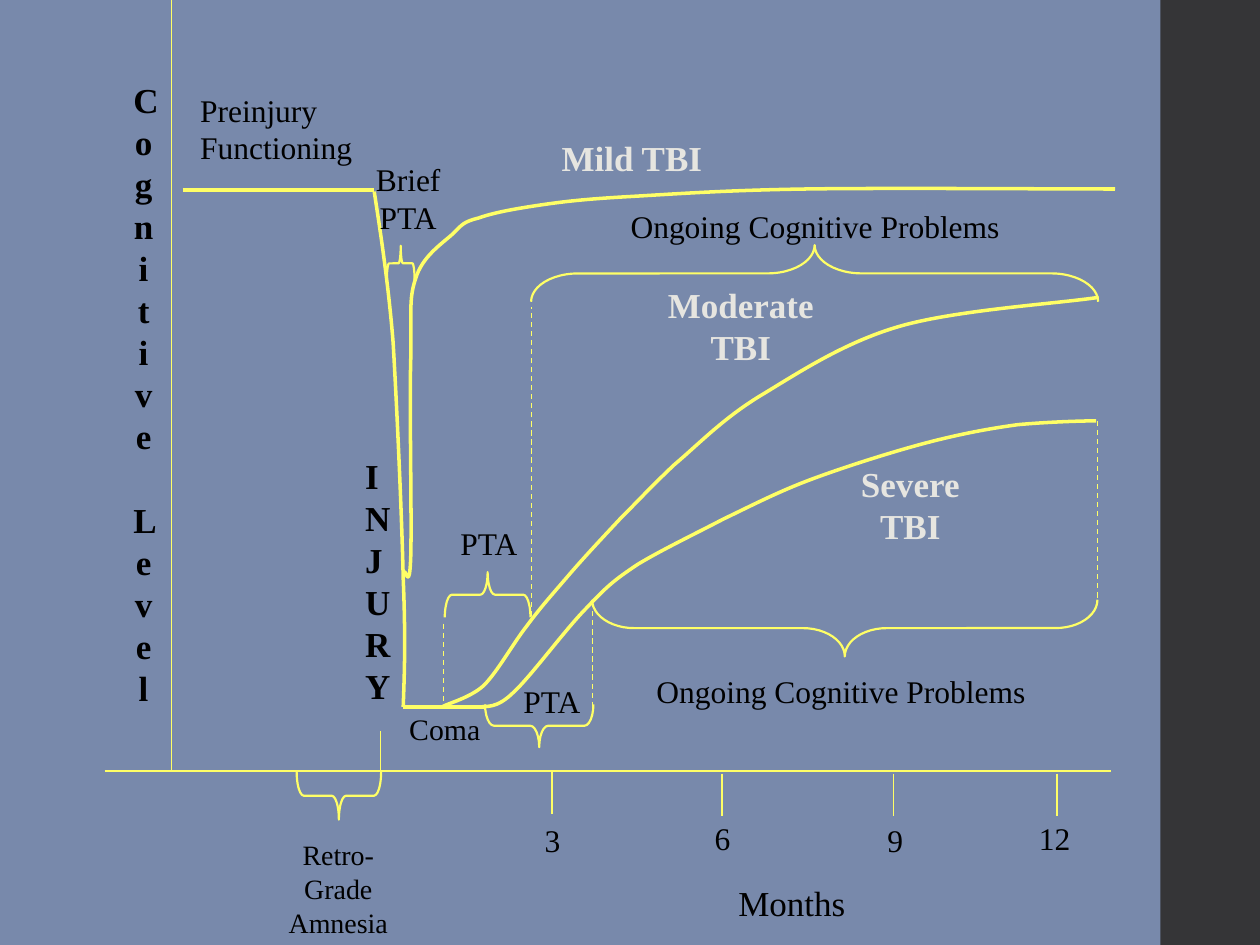
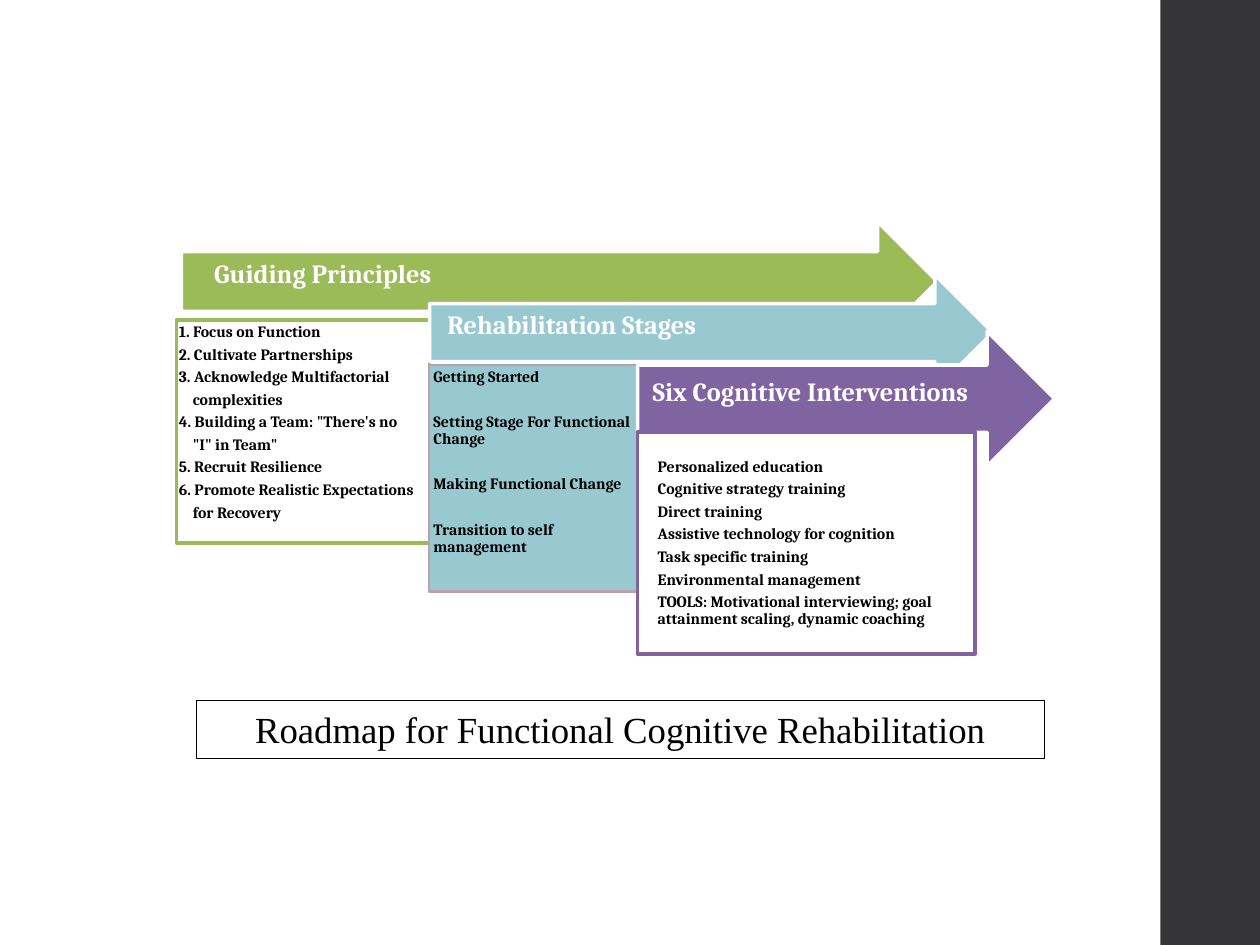
import pptx
import pptx.dml.color
import pptx.enum.dml
import pptx.enum.shapes
import pptx.enum.text
import pptx.oxml.ns
import pptx.util
from lxml import etree

Inches = pptx.util.Inches
Pt = pptx.util.Pt
qn = pptx.oxml.ns.qn
Shapes = pptx.enum.shapes.MSO_SHAPE
Align = pptx.enum.text.PP_ALIGN
Anchor = pptx.enum.text.MSO_ANCHOR

SERIF = "Times New Roman"
HEADING = "Cambria"
BLACK, WHITE = "000000", "FFFFFF"
BAND = "353537"
DUSK = "7889AB"
YELLOW = "FFFF66"
PALE = "E6E5E0"
GREEN, TEAL, PURPLE = "9BBB59", "98C9D1", "8064A2"
MAUVE, DEEP_TEAL = "BCA0AB", "5EAFA6"

NO_MARGINS = (0, 0, 0, 0)
TIGHT_MARGINS = (0.03, 0.03, 0.03, 0.03)
DEFAULT_MARGINS = (0.1, 0.05, 0.1, 0.05)

# Each curve is a start point followed by cubic segments (two controls and an end).
RECOVERY_CURVES = {
    "moderate": [
        (3.51, 5.61),
        (3.56, 5.58, 3.73, 5.54, 3.84, 5.44),
        (3.95, 5.33, 4.07, 5.11, 4.18, 4.97),
        (4.29, 4.82, 4.39, 4.71, 4.51, 4.57),
        (4.63, 4.43, 4.78, 4.27, 4.92, 4.12),
        (5.06, 3.98, 5.17, 3.86, 5.35, 3.69),
        (5.54, 3.53, 5.73, 3.33, 6.02, 3.15),
        (6.32, 2.97, 6.69, 2.72, 7.14, 2.59),
        (7.59, 2.46, 8.39, 2.41, 8.72, 2.36),
    ],
    "injury drop": [
        (2.97, 1.52),
        (3, 1.72, 3.08, 2.21, 3.12, 2.72),
        (3.15, 3.23, 3.19, 4.11, 3.2, 4.59),
        (3.22, 5.07, 3.21, 5.34, 3.2, 5.61),
    ],
    "mild": [
        (3.21, 4.54),
        (3.22, 4.52, 3.25, 4.7, 3.26, 4.43),
        (3.27, 4.15, 3.25, 3.24, 3.26, 2.87),
        (3.27, 2.5, 3.24, 2.38, 3.3, 2.21),
        (3.35, 2.04, 3.5, 1.94, 3.59, 1.86),
        (3.67, 1.78, 3.68, 1.76, 3.8, 1.73),
        (3.91, 1.69, 4.07, 1.66, 4.27, 1.63),
        (4.47, 1.6, 4.64, 1.58, 5, 1.56),
        (5.35, 1.54, 5.75, 1.51, 6.39, 1.5),
        (7.03, 1.49, 8.34, 1.5, 8.85, 1.5),
    ],
    "severe": [
        (3.82, 5.61),
        (3.86, 5.6, 3.94, 5.63, 4.08, 5.49),
        (4.22, 5.36, 4.49, 4.99, 4.66, 4.82),
        (4.82, 4.65, 4.88, 4.6, 5.06, 4.48),
        (5.24, 4.37, 5.51, 4.24, 5.74, 4.12),
        (5.97, 4.01, 6.18, 3.9, 6.45, 3.8),
        (6.72, 3.7, 7.1, 3.58, 7.37, 3.51),
        (7.64, 3.44, 7.86, 3.4, 8.08, 3.37),
        (8.3, 3.35, 8.57, 3.34, 8.7, 3.34),
    ],
}

PRINCIPLES = [
    "1. Focus on Function",
    "2. Cultivate Partnerships",
    "3. Acknowledge Multifactorial",
    "complexities",
    "4. Building a Team: \"There's no",
    "\"I\" in Team\"",
    "5. Recruit Resilience",
    "6. Promote Realistic Expectations",
    "for Recovery",
]
STAGES = [
    "Getting Started",
    "Setting Stage For Functional Change",
    "Making Functional Change",
    "Transition to self management",
]
INTERVENTIONS = [
    "Personalized education",
    "Cognitive strategy training",
    "Direct training",
    "Assistive technology for cognition",
    "Task specific training",
    "Environmental management",
    "TOOLS: Motivational interviewing; goal attainment scaling, dynamic coaching",
]


def color(hex_text):
    return pptx.dml.color.RGBColor.from_string(hex_text)


def style_shape(shape, fill=None, line=None, weight=0.75):
    shape.shadow.inherit = False
    if fill:
        shape.fill.solid()
        shape.fill.fore_color.rgb = color(fill)
    else:
        shape.fill.background()
    if line:
        shape.line.color.rgb = color(line)
        shape.line.width = Pt(weight)
    else:
        shape.line.fill.background()


def add_box(slide, kind, box, fill=None, line=None, weight=0.75):
    shape = slide.shapes.add_shape(kind, *map(Inches, box))
    style_shape(shape, fill, line, weight)
    return shape


def add_line(slide, start, end, weight=0.75, dashed=False):
    connector = slide.shapes.add_connector(
        pptx.enum.shapes.MSO_CONNECTOR.STRAIGHT, *map(Inches, (*start, *end)))
    connector.line.color.rgb = color(YELLOW)
    connector.line.width = Pt(weight)
    if dashed:
        connector.line.dash_style = pptx.enum.dml.MSO_LINE.DASH
    etree.SubElement(connector._element.spPr, qn("a:effectLst"))


def add_brace(slide, box, rotation, curl):
    """Brace whose point faces down at 270 degrees and up at 90."""
    brace = add_box(slide, Shapes.LEFT_BRACE, box, line=YELLOW, weight=1.25)
    brace.rotation = rotation
    brace.adjustments[0] = curl


def add_curve(slide, curve):
    """Outline through all points, with each three line steps merged into one cubic."""
    start, *segments = curve
    builder = slide.shapes.build_freeform(*map(Inches, start))
    points = [tuple(map(Inches, segment[i:i + 2]))
              for segment in segments for i in (0, 2, 4)]
    builder.add_line_segments(points, close=False)
    shape = builder.convert_to_shape()
    style_shape(shape, line=YELLOW, weight=2)
    steps = list(shape._element.iter(qn("a:lnTo")))
    for i in range(0, len(steps), 3):
        cubic = etree.Element(qn("a:cubicBezTo"))
        steps[i].addprevious(cubic)
        for step in steps[i:i + 3]:
            cubic.append(step[0])
            step.getparent().remove(step)


def write(shape, lines, size, font=SERIF, ink=BLACK, bold=False, align=Align.LEFT,
          margins=NO_MARGINS, anchor=Anchor.TOP, spacing=None, after=0):
    """Fill a shape with one paragraph per line and return the paragraphs."""
    frame = shape.text_frame
    frame.word_wrap = True
    frame.vertical_anchor = anchor
    (frame.margin_left, frame.margin_top,
     frame.margin_right, frame.margin_bottom) = map(Inches, margins)
    frame.text = "\n".join(lines)
    for paragraph in frame.paragraphs:
        paragraph.alignment = align
        paragraph.line_spacing = spacing or Pt(1.2 * size)
        paragraph.space_after = Pt(after)
        paragraph.font.size = Pt(size)
        paragraph.font.name = font
        paragraph.font.bold = bold
        paragraph.font.color.rgb = color(ink)
    return frame.paragraphs


def add_text(slide, box, lines, size, **style):
    return write(slide.shapes.add_textbox(*map(Inches, box)), lines, size, **style)


def add_label(slide, box, text, size=18, **style):
    add_text(slide, box, [text], size, align=Align.CENTER, **style)


def add_arrow(slide, box, fill, title_box, title, indent):
    add_box(slide, Shapes.RIGHT_ARROW, box, fill, WHITE, 2)
    add_text(slide, title_box, [title], 15, font=HEADING, ink=WHITE, bold=True,
             margins=(indent, 0.04, 0.21, 0.12), anchor=Anchor.MIDDLE, spacing=0.9)


def write_list(shape, lines, after=3.15):
    return write(shape, lines, 9, font=HEADING, bold=True, margins=TIGHT_MARGINS,
                 spacing=0.9, after=after)


def add_list(slide, box, lines):
    return write_list(slide.shapes.add_textbox(*map(Inches, box)), lines)


def new_slide(presentation, background):
    slide = presentation.slides.add_slide(presentation.slide_layouts[6])
    slide.background.fill.solid()
    slide.background.fill.fore_color.rgb = color(background)
    add_box(slide, Shapes.RECTANGLE, (9.21, 0, 0.8, 7.5), BAND)
    return slide


def add_axes(slide):
    add_line(slide, (0.83, 6.12), (8.82, 6.12))
    add_line(slide, (1.36, 0), (1.36, 6.12))
    add_line(slide, (3.02, 5.8), (3.02, 6.12))
    for month, x, tick_top, label_left, label_top in (
            ("3", 4.38, 6.12, 4.27, 6.52), ("6", 5.73, 6.14, 5.62, 6.5),
            ("9", 7.09, 6.14, 6.99, 6.52), ("12", 8.39, 6.14, 8.17, 6.5)):
        add_line(slide, (x, tick_top), (x, tick_top + 0.34))
        width = 0.23 if len(month) == 1 else 0.4
        add_label(slide, (label_left, label_top, width, 0.34), month)
    add_label(slide, (5.67, 7, 1.23, 0.5), "Months", 20)
    level = add_text(slide, (0.96, 0.57, 0.36, 5.44), ["Cogni t ive", "Leve l"], 20,
                     bold=True, align=Align.CENTER, margins=DEFAULT_MARGINS)
    level[1].space_before = Pt(24)
    add_text(slide, (2.8, 3.56, 0.42, 2.21), ["INJURY"], 20, bold=True,
             margins=DEFAULT_MARGINS)


def build_recovery_slide(presentation):
    slide = new_slide(presentation, DUSK)
    add_axes(slide)
    for curve in RECOVERY_CURVES.values():
        add_curve(slide, curve)
    add_line(slide, (1.45, 1.51), (2.97, 1.51), weight=2)
    add_line(slide, (3.2, 5.61), (3.84, 5.61), weight=2)

    for start, end in (((4.7, 4.78), (4.7, 5.63)), ((8.71, 3.34), (8.71, 4.8)),
                       ((3.52, 4.95), (3.52, 5.61)), ((4.22, 4.89), (4.22, 2.44))):
        add_line(slide, start, end, dashed=True)

    for box, rotation, curl in (
            ((4.11, 5.33, 0.34, 0.86), 270, 0.21),
            ((2.5, 5.98, 0.38, 0.67), 270, 0.15),
            ((6.48, 2.98, 0.45, 4.01), 270, 0.74),
            ((6.24, -0.08, 0.45, 4.5), 90, 0.83),
            ((3.04, 1.98, 0.28, 0.22), 90, 0.08),
            ((3.69, 4.38, 0.36, 0.68), 90, 0.16)):
        add_brace(slide, box, rotation, curl)

    add_text(slide, (1.49, 0.72, 1.43, 0.74), ["Preinjury Functioning"], 18,
             margins=(0.1, 0, 0.1, 0))
    for box, text in (((2.91, 1.27, 0.66, 0.62), "Brief PTA"),
                      ((3.55, 4.16, 0.66, 0.31), "PTA"),
                      ((4.05, 5.41, 0.66, 0.31), "PTA"),
                      ((4.82, 1.64, 3.3, 0.44), "Ongoing Cognitive Problems"),
                      ((5.03, 5.33, 3.29, 0.42), "Ongoing Cognitive Problems")):
        add_label(slide, box, text)
    add_label(slide, (3.22, 5.64, 0.62, 0.27), "Coma", 17)
    for box, text in (((4.4, 1.08, 1.23, 0.36), "Mild TBI"),
                      ((5.08, 2.25, 1.6, 0.64), "Moderate TBI"),
                      ((6.61, 3.67, 1.23, 0.44), "Severe TBI")):
        add_label(slide, box, text, 20, ink=PALE, bold=True)
    add_text(slide, (2.07, 6.65, 1.23, 0.85), ["Retro-", "Grade Amnesia"], 16,
             align=Align.CENTER)


def build_roadmap_slide(presentation):
    slide = new_slide(presentation, WHITE)

    add_arrow(slide, (1.44, 1.76, 6, 0.95), GREEN,
              (1.44, 1.99, 5.78, 0.47), "Guiding Principles", 0.26)
    add_box(slide, Shapes.RECTANGLE, (1.4, 2.54, 2.01, 1.77), WHITE, GREEN, 2)
    for paragraph in add_list(slide, (1.39, 2.54, 2.01, 2.19), PRINCIPLES):
        if not paragraph.text[0].isdigit():
            paragraph._p.get_or_add_pPr().set("marL", str(Inches(0.11)))

    add_arrow(slide, (3.41, 2.18, 4.47, 0.92), TEAL,
              (3.06, 2.4, 4.59, 0.46), "Rehabilitation Stages", 0.49)
    stages_box = (3.41, 2.9, 1.65, 1.79)
    add_box(slide, Shapes.RECTANGLE, stages_box, DEEP_TEAL, MAUVE, 2)
    stages = add_box(slide, Shapes.RECTANGLE, stages_box, TEAL, MAUVE)
    write_list(stages, STAGES, after=16)

    add_arrow(slide, (5.06, 2.63, 3.31, 1.07), PURPLE,
              (5.06, 2.89, 3.1, 0.54), "Six Cognitive Interventions", 0.12)
    add_box(slide, Shapes.RECTANGLE, (5.06, 3.43, 2.68, 1.76), WHITE, PURPLE, 2)
    add_list(slide, (5.19, 3.61, 2.68, 1.72), INTERVENTIONS)

    title = add_box(slide, Shapes.RECTANGLE, (1.56, 5.56, 6.73, 0.46), line=BLACK)
    write(title, ["Roadmap for Functional Cognitive Rehabilitation"], 21,
          align=Align.CENTER, margins=DEFAULT_MARGINS)


def main():
    presentation = pptx.Presentation()
    presentation.slide_width = Inches(10)
    presentation.slide_height = Inches(7.5)
    build_recovery_slide(presentation)
    build_roadmap_slide(presentation)
    presentation.save("out.pptx")


if __name__ == "__main__":
    main()
